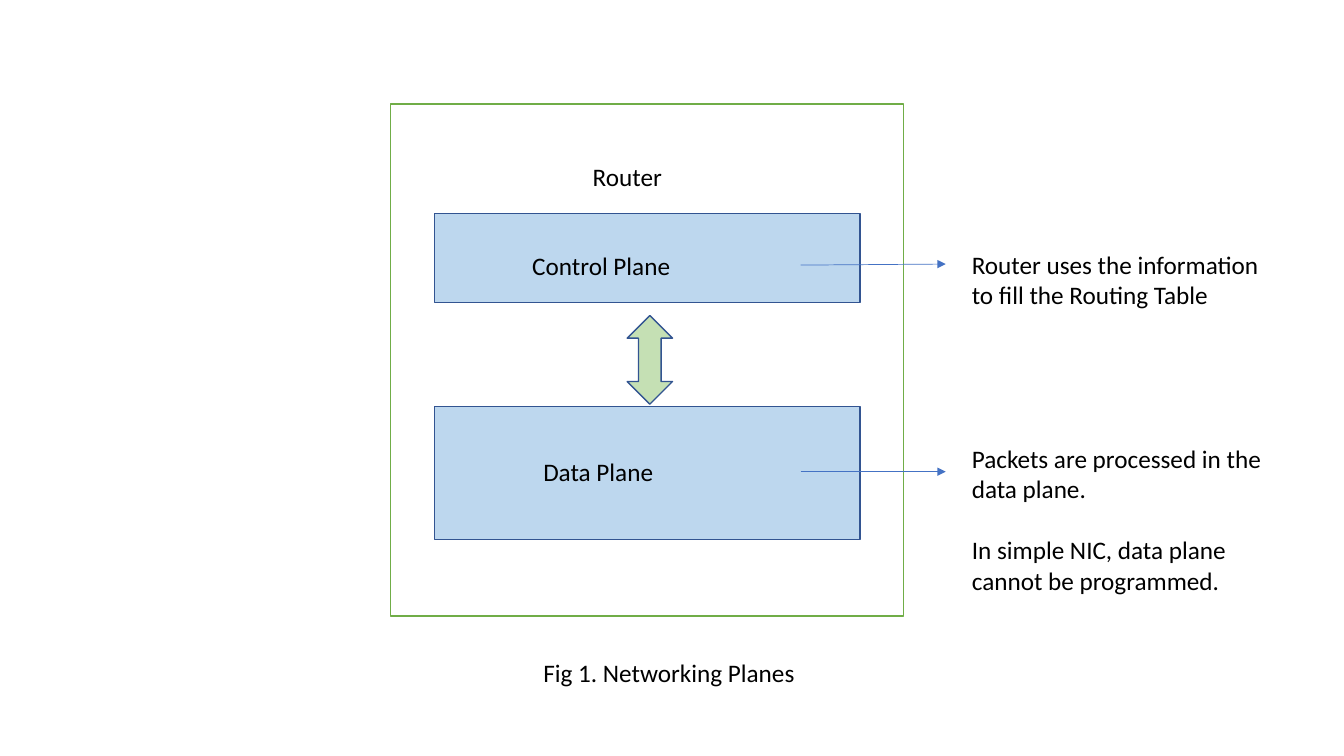
from dataclasses import dataclass

from lxml import etree
from pptx import Presentation
from pptx.dml.color import RGBColor
from pptx.enum.shapes import MSO_CONNECTOR, MSO_SHAPE
from pptx.enum.text import MSO_AUTO_SIZE
from pptx.oxml.ns import qn
from pptx.util import Inches, Pt

RECTANGLE = MSO_SHAPE.RECTANGLE
UP_DOWN_ARROW = MSO_SHAPE.UP_DOWN_ARROW
STRAIGHT = MSO_CONNECTOR.STRAIGHT
FIT_SHAPE = MSO_AUTO_SIZE.SHAPE_TO_FIT_TEXT


@dataclass(frozen=True)
class Theme:
    font: str = "Calibri"
    text_size: float = 18
    paragraph_gap: float = 22
    outline_width: float = 1
    arrow_width: float = 0.5
    text: str = "000000"
    router_fill: str = "FFFFFF"
    router_line: str = "70AD47"
    plane_fill: str = "BDD7EE"
    exchange_fill: str = "C5E0B4"
    outline: str = "325491"
    arrow: str = "4472C4"


theme = Theme()

presentation = Presentation()
presentation.slide_width = Inches(13.33)
presentation.slide_height = Inches(7.5)
slide = presentation.slides.add_slide(presentation.slide_layouts[6])

plane_left, plane_width = 4.31, 4.22
blocks = [
    (RECTANGLE, 3.87, 1.03, 5.09, 5.08, theme.router_fill, theme.router_line),
    (RECTANGLE, plane_left, 2.12, plane_width, 0.88, theme.plane_fill, theme.outline),
    (RECTANGLE, plane_left, 4.03, plane_width, 1.32, theme.plane_fill, theme.outline),
    (UP_DOWN_ARROW, 6.22, 3.13, 0.45, 0.88, theme.exchange_fill, theme.outline),
]
for kind, left, top, width, height, fill, line in blocks:
    shape = slide.shapes.add_shape(
        kind, Inches(left), Inches(top), Inches(width), Inches(height)
    )
    shape.shadow.inherit = False
    shape.fill.solid()
    shape.fill.fore_color.rgb = RGBColor.from_string(fill)
    shape.line.color.rgb = RGBColor.from_string(line)
    shape.line.width = Pt(theme.outline_width)

arrow_start, arrow_end = 7.94, 9.38
for start_y, end_y in [(2.63, 2.62), (4.68, 4.68)]:
    arrow = slide.shapes.add_connector(
        STRAIGHT, Inches(arrow_start), Inches(start_y), Inches(arrow_end), Inches(end_y)
    )
    arrow.line.color.rgb = RGBColor.from_string(theme.arrow)
    arrow.line.width = Pt(theme.arrow_width)
    etree.SubElement(arrow.line._get_or_add_ln(), qn("a:tailEnd"), type="triangle")
    etree.SubElement(arrow._element.spPr, qn("a:effectLst"))

note_left, note_width = 9.54, 3.25
texts = [
    (5.18, 2.43, 2.75, 0.4, ["Control Plane"]),
    (5.29, 4.48, 1.63, 0.4, ["Data Plane"]),
    (5.78, 1.55, 2.35, 0.42, ["Router"]),
    (note_left, 2.42, note_width, 0.71,
     ["Router uses the information to fill the Routing Table"]),
    (note_left, 4.35, note_width, 1.62,
     ["Packets are processed in the data plane.",
      "In simple NIC, data plane cannot be programmed."]),
    (5.29, 6.47, 2.92, 0.4, ["Fig 1. Networking Planes"]),
]
for left, top, width, height, lines in texts:
    text_box = slide.shapes.add_textbox(
        Inches(left), Inches(top), Inches(width), Inches(height)
    )
    text_frame = text_box.text_frame
    text_frame.word_wrap = True
    text_frame.auto_size = FIT_SHAPE
    text_frame.text = "\n".join(lines)
    for index, paragraph in enumerate(text_frame.paragraphs):
        if index:
            paragraph.space_before = Pt(theme.paragraph_gap)
        font = paragraph.runs[0].font
        font.name = theme.font
        font.size = Pt(theme.text_size)
        font.color.rgb = RGBColor.from_string(theme.text)

presentation.save("out.pptx")
